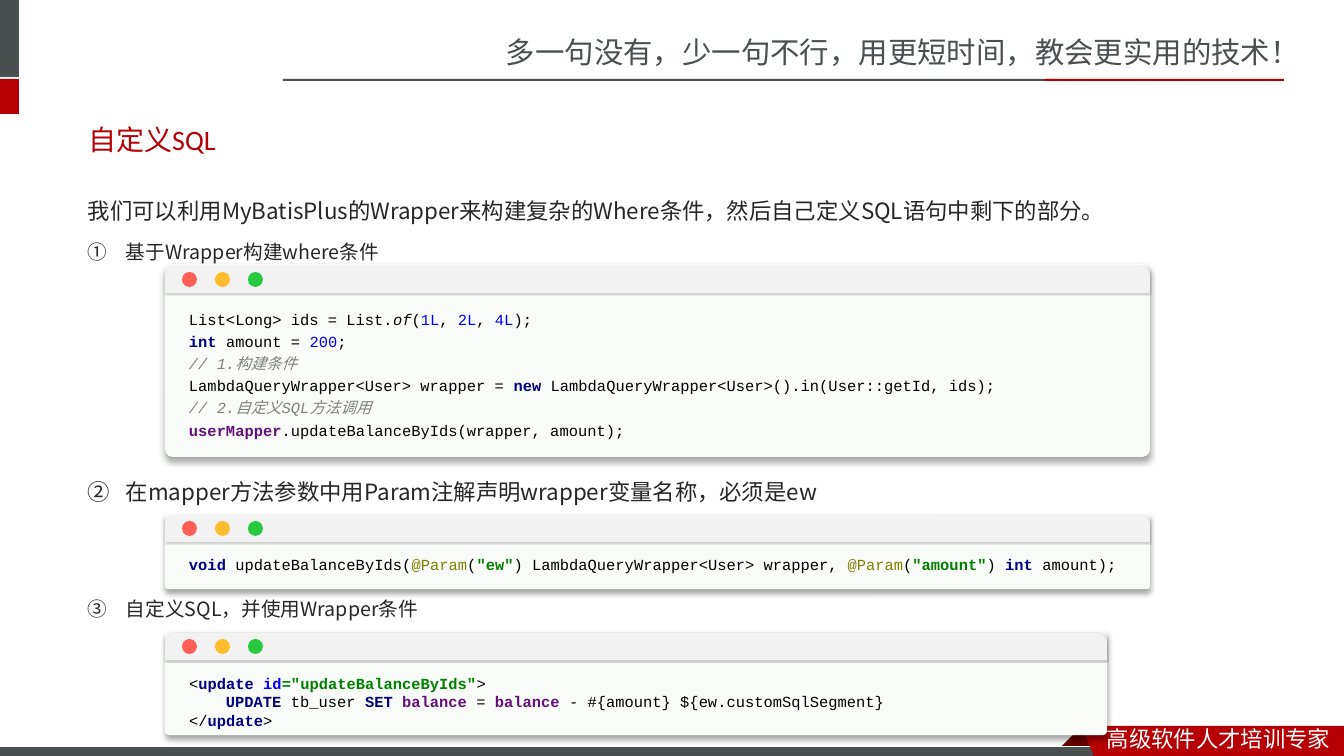
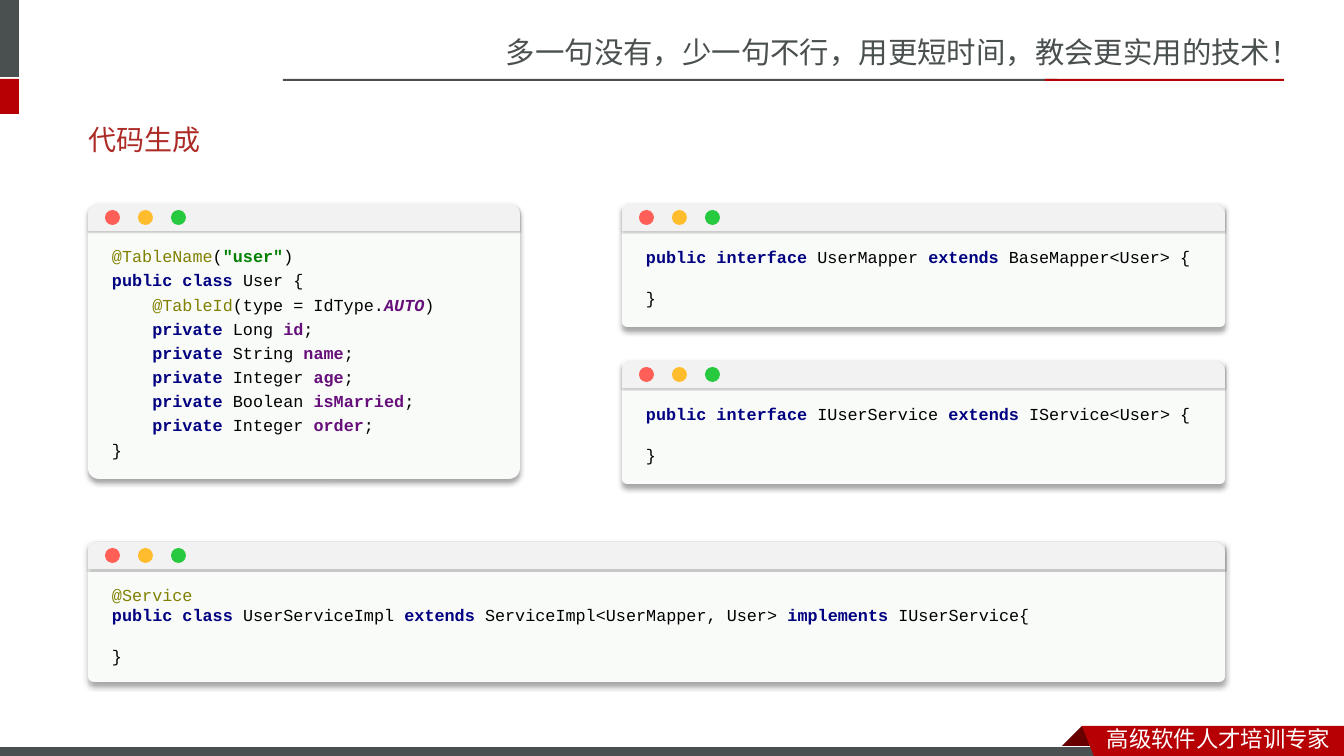
from lxml.etree import SubElement
from pptx import Presentation
from pptx.dml.color import RGBColor
from pptx.enum.shapes import MSO_SHAPE as SHAPE
from pptx.enum.text import MSO_ANCHOR as ANCHOR, PP_ALIGN as ALIGN
from pptx.oxml.ns import qn
from pptx.util import Emu, Inches, Pt

PX = Inches(1) / 100.8
COLORS = {
    "white": "FFFFFF", "slate": "49504F", "red": "B60004", "brick": "AD2B26",
    "fold": "680000", "body": "262626", "panel": "F9FBF9", "bar": "F2F2F2",
    "close": "FF5F56", "minimise": "FFBD2E", "zoom": "27C93F",
    "plain": "000000", "keyword": "000080", "number": "0000FF",
    "comment": "808080", "field": "660E7A", "note": "808000", "string": "008000",
}
SYNTAX = {
    "k": ("keyword", True, False), "n": ("number", False, False),
    "t": ("number", True, False), "c": ("comment", False, True),
    "f": ("field", True, False), "v": ("field", True, True),
    "a": ("note", False, False), "s": ("string", True, False),
    "i": ("plain", False, True),
}
CJK, BODY, HEADING, MONO = (
    "Noto Sans CJK SC", "Noto Sans CJK JP", "Calibri", "Courier New")
SLOGAN = "多一句没有，少一句不行，用更短时间，教会更实用的技术！"
FOOTER = "高级软件人才培训专家"


def px(length):
    return Emu(round(length * PX))


class Deck:
    """Holds the style of the deck and the slide being drawn."""

    def __init__(self):
        self.file = Presentation()
        self.file.slide_width, self.file.slide_height = px(1344), px(756)
        self.slide = None

    def new_slide(self, title, color):
        self.slide = self.file.slides.add_slide(self.file.slide_layouts[5])
        self.frame()
        heading = self.slide.shapes.title
        heading.left, heading.top, heading.width, heading.height = map(
            px, (78, 109, 1179, 61))
        heading.text_frame.vertical_anchor = ANCHOR.MIDDLE
        line = heading.text_frame.paragraphs[0]
        line.alignment = ALIGN.LEFT
        self.run(line, title, 20, color, HEADING)

    def frame(self):
        self.label(SLOGAN, (496, 29, 847, 47), 21, "slate")
        self.box((-6, 0, 25, 77), "slate")
        self.box((-6, 79, 25, 35), "red")
        self.box((283, 79, 774, 2), "slate")
        self.box((1045, 79, 239, 2), "red")
        self.outline([(1082, 726), (1104, 748), (1060, 748)], "fold")
        ground = self.box((-1, 747, 1109, 12), "slate")
        ground.line.color.rgb = RGBColor.from_string(COLORS["white"])
        ground.line.width = Pt(0.75)
        self.outline([(1082, 726), (1344, 726), (1344, 760), (1095, 759)], "red")
        self.label(FOOTER, (1097, 720, 247, 37), 16, "white")

    def paint(self, shape, color):
        shape.shadow.inherit = False
        shape.fill.solid()
        shape.fill.fore_color.rgb = RGBColor.from_string(COLORS[color])
        shape.line.fill.background()
        return shape

    def box(self, area, color, kind=SHAPE.RECTANGLE, parent=None):
        shapes = (parent or self.slide).shapes
        return self.paint(shapes.add_shape(kind, *map(px, area)), color)

    def outline(self, points, color):
        builder = self.slide.shapes.build_freeform(*points[0], scale=PX)
        builder.add_line_segments(points[1:], close=True)
        return self.paint(builder.convert_to_shape(), color)

    def shade(self, shape, alpha, blur, distance):
        effects = shape._element.spPr.find(qn("a:effectLst"))
        shadow = SubElement(
            effects, qn("a:outerShdw"), blurRad=str(Pt(blur)),
            dist=str(Pt(distance)), dir="5400000", algn="t", rotWithShape="0")
        tint = SubElement(shadow, qn("a:srgbClr"), val=COLORS["plain"])
        SubElement(tint, qn("a:alpha"), val=str(alpha * 1000))

    def run(self, line, text, size, color, font, bold=False, italic=False):
        run = line.add_run()
        run.text = text
        run.font.size, run.font.name = Pt(size), font
        run.font.bold, run.font.italic = bold, italic
        run.font.color.rgb = RGBColor.from_string(COLORS[color])
        east = BODY if font == BODY else CJK
        SubElement(run._r.get_or_add_rPr(), qn("a:ea"), typeface=east)

    def text(self, area, inset=(10, 5), parent=None):
        box = (parent or self.slide).shapes.add_textbox(*map(px, area))
        frame = box.text_frame
        frame.word_wrap = True
        frame.margin_left = frame.margin_right = px(inset[0])
        frame.margin_top = frame.margin_bottom = px(inset[1])
        return frame

    def label(self, text, area, size, color):
        self.run(self.text(area).paragraphs[0], text, size, color, CJK)

    def steps(self, area, intro, items):
        frame = self.text(area, (10, 0))
        self.run(frame.paragraphs[0], intro, 16, "body", BODY)
        for text, size, gap in items:
            line = frame.add_paragraph()
            line.space_before = px(gap)
            props = line._p.get_or_add_pPr()
            props.set("marL", str(px(38)))
            props.set("indent", str(px(-38)))
            SubElement(props, qn("a:buFont"), typeface="+mj-ea")
            SubElement(props, qn("a:buAutoNum"), type="circleNumDbPlain")
            self.run(line, text, size, "body", BODY)

    def code_line(self, line, source, size):
        if source.startswith("\t"):
            line._p.get_or_add_pPr().set("marL", str(Pt(size * 2.4)))
        plain, *marked = source.lstrip("\t").split("«")
        pieces = [(plain, ("plain", False, False))]
        for part in marked:
            styled, plain = part[1:].split("»")
            pieces += [(styled, SYNTAX[part[0]]),
                       (plain, ("plain", False, False))]
        for text, (color, bold, italic) in pieces:
            if text:
                self.run(line, text, size, color, MONO, bold, italic)

    def code(self, area, lines, size=12, spacing=1.0, text_top=40):
        left, top, width, height = area
        window = self.slide.shapes.add_group_shape()
        panel = self.box(area, "panel", SHAPE.ROUNDED_RECTANGLE, window)
        panel.adjustments[0] = 0.04
        self.shade(panel, 34, 4, 3)
        bar = self.box((left, top + 2, width, 27), "bar",
                       SHAPE.ROUND_2_SAME_RECTANGLE, window)
        bar.adjustments[0] = 0.38
        self.shade(bar, 20, 1, 1)
        for i, button in enumerate(("close", "minimise", "zoom")):
            self.box((left + 17 + 33 * i, top + 8, 15, 15), button,
                     SHAPE.OVAL, window)
        frame = self.text((left, top + text_top, width, height - text_top),
                          (24, 5), window)
        line, gap = frame.paragraphs[0], 0
        for i, source in enumerate(lines):
            if not source:
                gap = size * 1.22
                continue
            if i:
                line = frame.add_paragraph()
            line.line_spacing = spacing
            line.space_before = Pt(gap)
            self.code_line(line, source, size)
            gap = 0


def custom_sql(deck):
    deck.new_slide("自定义SQL", "red")
    deck.steps((78, 197, 1179, 430),
               "我们可以利用MyBatisPlus的Wrapper来构建复杂的Where条件，然后自己定义SQL语句中剩下的部分。", [
                   ("基于Wrapper构建where条件", 14, 16),
                   ("在mapper方法参数中用Param注解声明wrapper变量名称，必须是ew", 16, 215),
                   ("自定义SQL，并使用Wrapper条件", 14, 92)])
    deck.code((165, 264, 985, 193), [
        "List<Long> ids = List.«iof»(«n1L», «n2L», «n4L»);",
        "«kint »amount = «n200»;",
        "«c// 1.构建条件»",
        "LambdaQueryWrapper<User> wrapper = «knew »LambdaQueryWrapper<User>().in(User::getId, ids);",
        "«c// 2.自定义SQL方法调用»",
        "«fuserMapper».updateBalanceByIds(wrapper, amount);",
    ], 11, 1.2, 37)
    deck.code((165, 513, 985, 76), [
        "«kvoid »updateBalanceByIds(«a@Param»(«s\"ew\"») LambdaQueryWrapper<User> wrapper, "
        "«a@Param»(«s\"amount\"») «kint »amount);",
    ], 11, text_top=37)
    deck.code((165, 631, 942, 104), [
        "<«kupdate »«tid»«s=\"updateBalanceByIds\"»>",
        "\t«kUPDATE» tb_user «kSET »«fbalance »= «fbalance »- #{amount} ${ew.customSqlSegment}",
        "</«kupdate»>",
    ], 11, text_top=38)


def code_generation(deck):
    deck.new_slide("代码生成", "brick")
    fields = (("Long", "id"), ("String", "name"), ("Integer", "age"),
              ("Boolean", "isMarried"), ("Integer", "order"))
    deck.code((88, 202, 432, 277), [
        "«a@TableName»(«s\"user\"»)",
        "«kpublic class »User {",
        "\t«a@TableId»(type = IdType.«vAUTO»)",
        *(f"\t«kprivate »{kind} «f{name}»;" for kind, name in fields),
        "}",
    ], spacing=1.2, text_top=35)
    interfaces = (("UserMapper", "BaseMapper"), ("IUserService", "IService"))
    for i, (name, base) in enumerate(interfaces):
        deck.code((622, 202 + 157 * i, 603, 125), [
            f"«kpublic interface »{name} «kextends »{base}<User> {{", "", "}"])
    deck.code((88, 540, 1137, 142), [
        "«a@Service»",
        "«kpublic class »UserServiceImpl «kextends »ServiceImpl<UserMapper, User> "
        "«kimplements »IUserService{",
        "",
        "}",
    ])


def main():
    deck = Deck()
    custom_sql(deck)
    code_generation(deck)
    deck.file.save("out.pptx")


if __name__ == "__main__":
    main()
